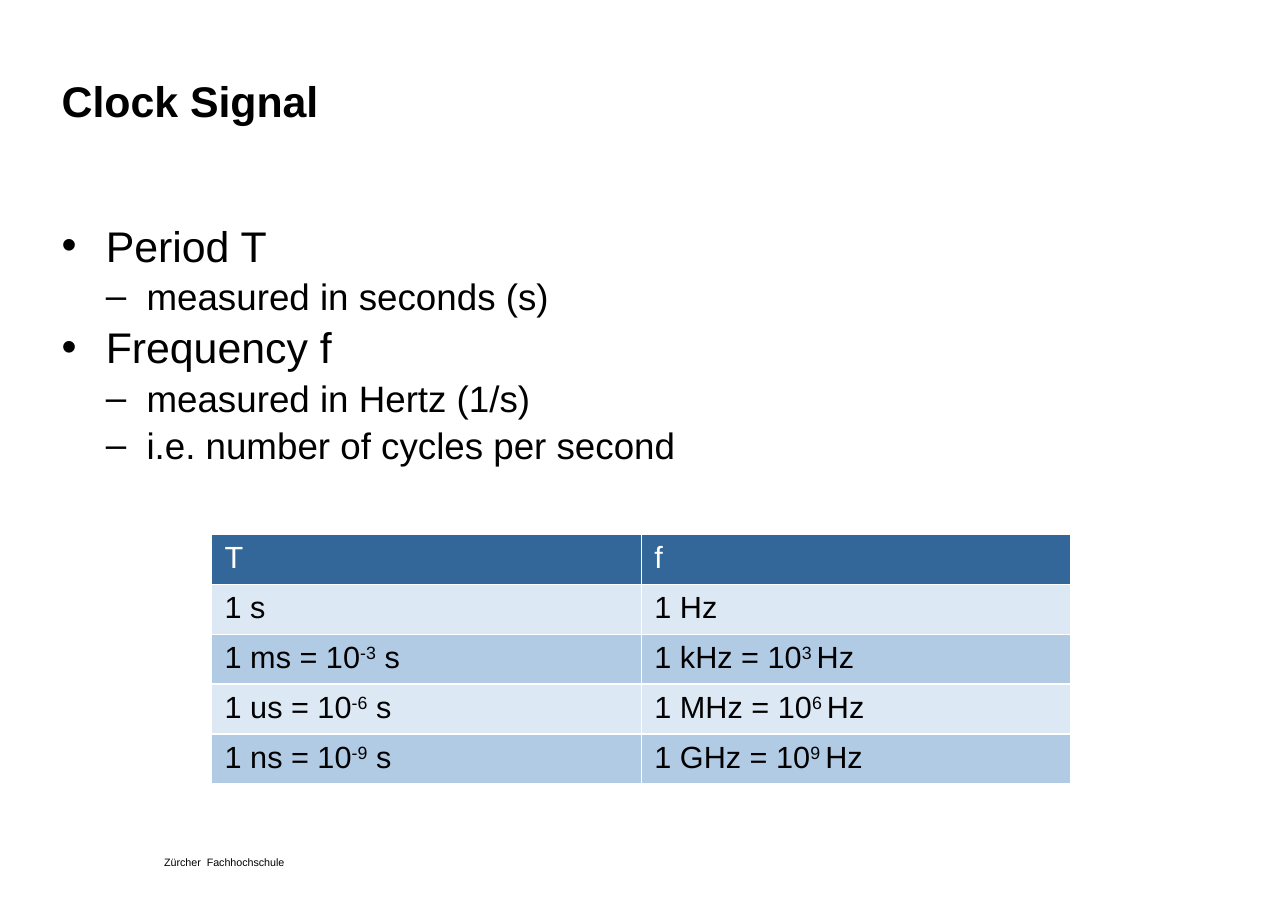
from lxml.etree import SubElement
from pptx import Presentation
from pptx.dml.color import RGBColor
from pptx.oxml.ns import qn
from pptx.util import Inches, Pt

BLACK = RGBColor(0x00, 0x00, 0x00)
WHITE = RGBColor(0xFF, 0xFF, 0xFF)
HEADER_BLUE = RGBColor(0x33, 0x66, 0x99)
PALE_BLUE = RGBColor(0xDC, 0xE8, 0xF4)
MID_BLUE = RGBColor(0xB1, 0xCB, 0xE5)

LEVELS = [("•", 0.4, 0.4, 28), ("–", 0.77, 0.37, 24)]
BULLETS = [
    (0, "Period T"),
    (1, "measured in seconds (s)"),
    (0, "Frequency f"),
    (1, "measured in Hertz (1/s)"),
    (1, "i.e. number of cycles per second"),
]
UNITS = [
    [("T",), ("f",)],
    [("1 s",), ("1 Hz",)],
    [("1 ms = 10", "-3", " s"), ("1 kHz = 10", "3 ", "Hz")],
    [("1 us = 10", "-6", " s"), ("1 MHz = 10", "6 ", "Hz")],
    [("1 ns = 10", "-9", " s"), ("1 GHz = 10", "9 ", "Hz")],
]


def add_run(p, text, size, color=BLACK, bold=False):
    """Append a formatted Arial run and return it."""
    r = p.add_run()
    r.text = text
    r.font.name = "Arial"
    r.font.size = Pt(size)
    r.font.bold = bold
    r.font.color.rgb = color
    return r


def add_box(s, left, top, width, height):
    """Add a wrapping text box without margins and return its frame."""
    sp = s.shapes.add_textbox(Inches(left), Inches(top), Inches(width), Inches(height))
    tf = sp.text_frame
    tf.word_wrap = True
    tf.margin_left = tf.margin_top = tf.margin_right = tf.margin_bottom = 0
    return tf


def add_line(s, box, text, size, spacing, bold=False):
    """Add a single line of text with exact line spacing."""
    p = add_box(s, *box).paragraphs[0]
    p.line_spacing = Pt(spacing)
    add_run(p, text, size, bold=bold)


def add_bullets(s, box, items):
    """Add a two-level bulleted list."""
    tf = add_box(s, *box)
    for i, (level, text) in enumerate(items):
        mark, margin, hanging, size = LEVELS[level]
        p = tf.add_paragraph() if i else tf.paragraphs[0]
        p.level = level
        pPr = p._p.get_or_add_pPr()
        pPr.set("marL", str(Inches(margin)))
        pPr.set("indent", str(-Inches(hanging)))
        SubElement(pPr, qn("a:buFont")).set("typeface", "Arial")
        SubElement(pPr, qn("a:buChar")).set("char", mark)
        if i:
            p.space_before = Pt(2)
        add_run(p, text, size)


def add_borders(cell):
    """Draw thin white borders on all sides of a cell."""
    tcPr = cell._tc.get_or_add_tcPr()
    for side in ("lnL", "lnR", "lnT", "lnB"):
        ln = SubElement(tcPr, qn(f"a:{side}"), w=str(Pt(1)))
        fill = SubElement(ln, qn("a:solidFill"))
        SubElement(fill, qn("a:srgbClr")).set("val", str(WHITE))


def fill_cell(cell, parts, fill, color):
    """Write a cell whose second text part is an exponent."""
    add_borders(cell)
    cell.fill.solid()
    cell.fill.fore_color.rgb = fill
    cell.margin_left = cell.margin_right = Inches(0.12)
    cell.margin_top = cell.margin_bottom = Inches(0.06)
    p = cell.text_frame.paragraphs[0]
    for i, text in enumerate(parts):
        r = add_run(p, text, 20, color)
        if i == 1:
            r._r.get_or_add_rPr().set("baseline", "30000")


def add_unit_table(s, box, rows):
    """Add the table of periods and frequencies with banded rows."""
    sp = s.shapes.add_table(len(rows), len(rows[0]), *map(Inches, box))
    for i, row in enumerate(rows):
        fill = (MID_BLUE if i % 2 == 0 else PALE_BLUE) if i else HEADER_BLUE
        for j, parts in enumerate(row):
            fill_cell(sp.table.cell(i, j), parts, fill, BLACK if i else WHITE)


def main():
    """Build the clock signal slide."""
    prs = Presentation()
    prs.slide_width, prs.slide_height = Inches(11.69), Inches(8.27)
    s = prs.slides.add_slide(prs.slide_layouts[6])
    add_line(s, (1.49, 7.79, 1.32, 0.1), "Zürcher  Fachhochschule", 7, 7)
    add_line(s, (0.56, 0.7, 8.27, 0.78), "Clock Signal", 28, 32, bold=True)
    add_bullets(s, (0.56, 1.99, 10.55, 2.6), BULLETS)
    add_unit_table(s, (1.92, 4.85, 7.8, 2.24), UNITS)
    prs.save("out.pptx")


if __name__ == "__main__":
    main()
